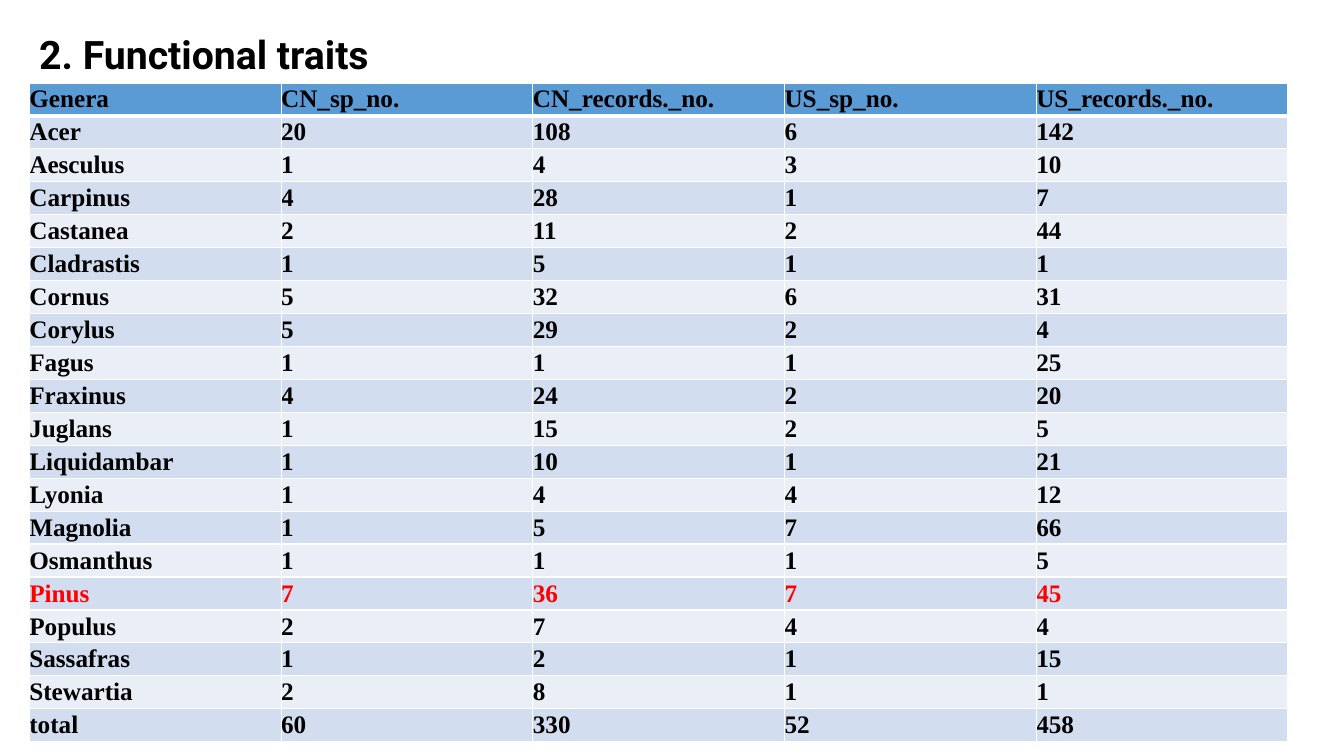
import pptx
import pptx.dml.color
import pptx.enum.text
import pptx.oxml
import pptx.oxml.ns
import pptx.util

Cm = pptx.util.Cm
Pt = pptx.util.Pt

COLOURS = {
    "text": "000000",
    "highlight": "FF0000",
    "header": "5B9BD5",
    "odd_row": "D2DEEF",
    "even_row": "EAEFF7",
    "border": "FFFFFF",
}

HEADER = ["Genera", "CN_sp_no.", "CN_records._no.", "US_sp_no.", "US_records._no."]
GENERA = [
    ("Acer", 20, 108, 6, 142),
    ("Aesculus", 1, 4, 3, 10),
    ("Carpinus", 4, 28, 1, 7),
    ("Castanea", 2, 11, 2, 44),
    ("Cladrastis", 1, 5, 1, 1),
    ("Cornus", 5, 32, 6, 31),
    ("Corylus", 5, 29, 2, 4),
    ("Fagus", 1, 1, 1, 25),
    ("Fraxinus", 4, 24, 2, 20),
    ("Juglans", 1, 15, 2, 5),
    ("Liquidambar", 1, 10, 1, 21),
    ("Lyonia", 1, 4, 4, 12),
    ("Magnolia", 1, 5, 7, 66),
    ("Osmanthus", 1, 1, 1, 5),
    ("Pinus", 7, 36, 7, 45),
    ("Populus", 2, 7, 4, 4),
    ("Sassafras", 1, 2, 1, 15),
    ("Stewartia", 2, 8, 1, 1),
    ("total", 60, 330, 52, 458),
]
HIGHLIGHTED_GENUS = "Pinus"


def rgb(name):
    return pptx.dml.color.RGBColor.from_string(COLOURS[name])


def write_text(frame, text, *, font, size, colour="text", bold=True):
    run = frame.paragraphs[0].add_run()
    run.text = text
    run.font.name = font
    run.font.size = Pt(size)
    run.font.bold = bold
    run.font.color.rgb = rgb(colour)


def set_borders(cell, top=1, bottom=1):
    properties = cell._tc.get_or_add_tcPr()
    widths = {"lnL": 1, "lnR": 1, "lnT": top, "lnB": bottom}
    for position, (side, width) in enumerate(widths.items()):
        border = pptx.oxml.parse_xml(
            f'<a:{side} {pptx.oxml.ns.nsdecls("a")} w="{Pt(width)}"><a:solidFill>'
            f'<a:srgbClr val="{COLOURS["border"]}"/></a:solidFill></a:{side}>'
        )
        properties.insert(position, border)


def add_title(slide, left, top, width, height):
    box = slide.shapes.add_textbox(left, top, width, height)
    box.text_frame.word_wrap = True
    write_text(box.text_frame, "2. Functional traits", font="Roboto", size=28)


def add_traits_table(slide, left, top, width, height):
    rows = [HEADER, *GENERA]
    frame = slide.shapes.add_table(len(rows), len(HEADER), left, top, width, height)
    table = frame.table
    for column in table.columns:
        column.width = width // len(HEADER)
    for row_index, values in enumerate(rows):
        table.rows[row_index].height = height // len(rows)
        band = "odd_row" if row_index % 2 else "even_row"
        fill = band if row_index else "header"
        colour = "highlight" if values[0] == HIGHLIGHTED_GENUS else "text"
        for column_index, value in enumerate(values):
            cell = table.cell(row_index, column_index)
            cell.margin_left = cell.margin_right = 0
            cell.margin_top = cell.margin_bottom = 0
            cell.vertical_anchor = pptx.enum.text.MSO_ANCHOR.MIDDLE
            cell.fill.solid()
            cell.fill.fore_color.rgb = rgb(fill)
            set_borders(
                cell,
                top=3 if row_index == 1 else 1,
                bottom=3 if row_index == 0 else 1,
            )
            write_text(cell.text_frame, str(value), font="Times New Roman",
                       size=18, colour=colour)


def main():
    presentation = pptx.Presentation()
    presentation.slide_width = Cm(33.87)
    presentation.slide_height = Cm(19.05)
    slide = presentation.slides.add_slide(presentation.slide_layouts[6])
    add_title(slide, Cm(0.74), Cm(0.64), Cm(15.9), Cm(1.45))
    add_traits_table(slide, Cm(0.74), Cm(2.09), Cm(31.72), Cm(16.61))
    presentation.save("out.pptx")


if __name__ == "__main__":
    main()
